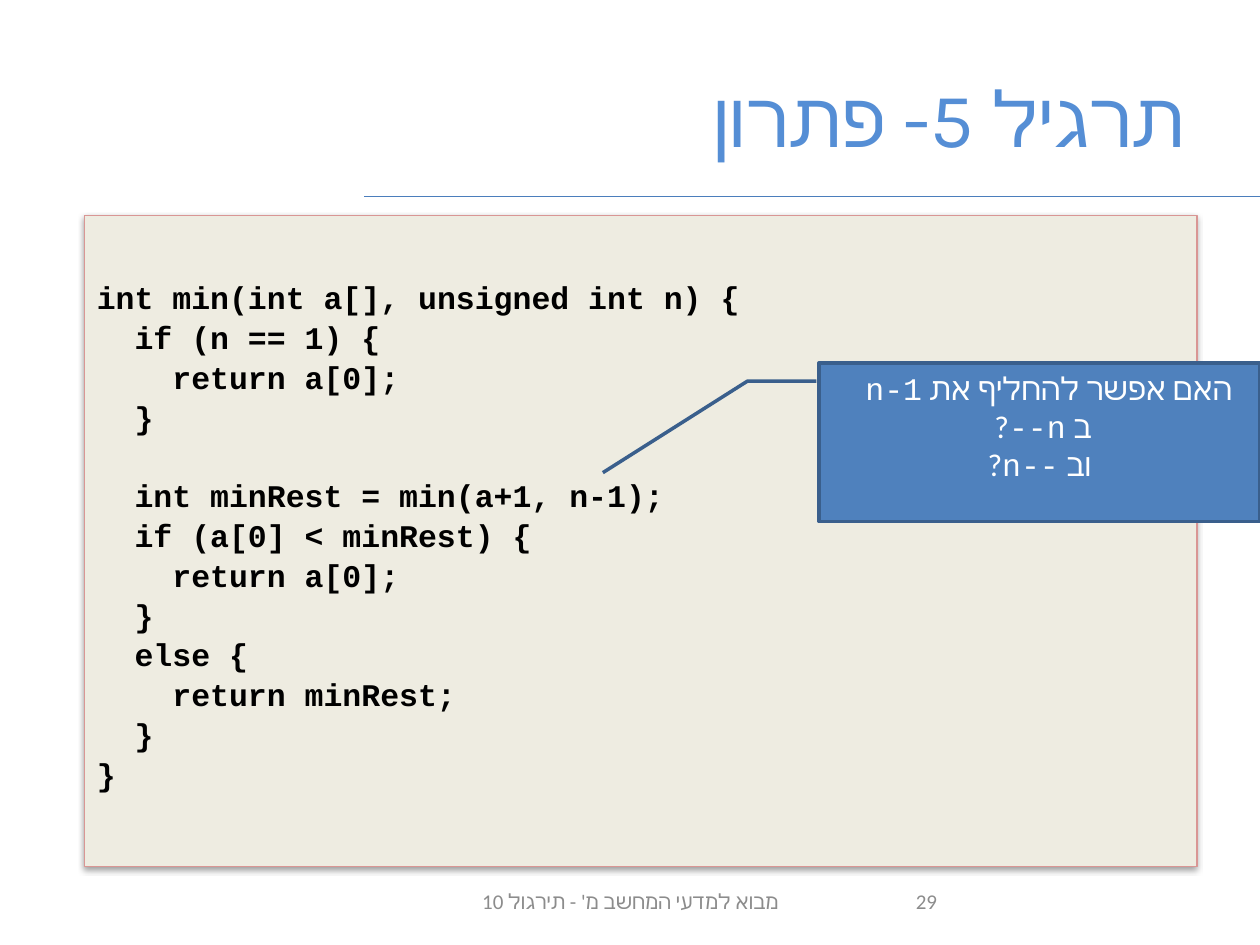
from lxml import etree
from pptx import Presentation
from pptx import util as u
from pptx.dml.color import RGBColor
from pptx.enum import shapes, text
from pptx.oxml.ns import qn

# Content
TITLE = "תרגיל 5- פתרון"
FOOTER = "מבוא למדעי המחשב מ' - תירגול 10"
PAGE_NUMBER = "29"
# Each block is a list of (indent level, code line); blocks are a line apart
CODE_BLOCKS = [
    [(0, "int min(int a[], unsigned int n) {"),
     (1, "if (n == 1) {"),
     (2, "return a[0];"),
     (1, "}")],
    [(1, "int minRest = min(a+1, n-1);"),
     (1, "if (a[0] < minRest) {"),
     (2, "return a[0];"),
     (1, "}"),
     (1, "else {"),
     (2, "return minRest;"),
     (1, "}"),
     (0, "}")],
]
# Paragraphs of lines of (text, font role)
QUESTION = [
    [[("האם אפשר להחליף את ", "body"), ("n-1 ", "code")],
     [("ב ", "body"), ("n--", "code"), ("? ", "body")]],
    [[("וב ", "body"), ("--n", "code"), ("?", "body")]],
]

THEME = {
    "fonts": {"title": "Karla", "body": "Calibri", "code": "Courier New"},
    "sizes": {"title": 44, "text": 18, "footer": 12},
    "colors": {"title": "558ED5", "rule": "4B7EBC", "footer": "8C8C8C",
               "panel": "EEECE1", "panel_line": "D99694", "code": "000000",
               "callout": "4F81BD", "callout_line": "3A5F8C",
               "callout_text": "FFFFFF"},
}
LINE_SPACING, SPACE_BEFORE, LINE_PITCH = 0.6, 9.8, 22.1
INDENT = 0.3  # two characters of the code font


def color(name):
    return RGBColor.from_string(THEME["colors"][name])


def format_run(run, role, size, color_name, bold=False):
    font = run.font
    font.name = THEME["fonts"][role]
    font.size = u.Pt(THEME["sizes"][size])
    font.color.rgb = color(color_name)
    font.bold = bold
    complex_font = etree.SubElement(run._r.get_or_add_rPr(), qn("a:cs"))
    complex_font.set("typeface", font.name)


def set_rtl(paragraph, alignment):
    paragraph.alignment = alignment
    paragraph._p.get_or_add_pPr().set("rtl", "1")


def add_label(slide, box, content, role, size, color_name, alignment=None):
    shape = slide.shapes.add_textbox(*map(u.Inches, box))
    frame = shape.text_frame
    frame.word_wrap = True
    frame.vertical_anchor = text.MSO_ANCHOR.MIDDLE
    frame.text = content
    paragraph = frame.paragraphs[0]
    if alignment is not None:
        set_rtl(paragraph, alignment)
    format_run(paragraph.runs[0], role, size, color_name)


def add_box(slide, kind, box, fill, line, width, anchor):
    shape = slide.shapes.add_shape(kind, *map(u.Inches, box))
    shape.shadow.inherit = False
    shape.fill.solid()
    shape.fill.fore_color.rgb = color(fill)
    shape.line.color.rgb = color(line)
    shape.line.width = u.Pt(width)
    shape.text_frame.word_wrap = True
    shape.text_frame.vertical_anchor = anchor
    return shape


def add_soft_shadow(shape):
    effects = shape._element.spPr.find(qn("a:effectLst"))
    shadow = etree.SubElement(
        effects, qn("a:outerShdw"), blurRad=str(u.Pt(3.1)),
        dist=str(u.Pt(1.6)), dir="5400000", rotWithShape="0")
    shade = etree.SubElement(shadow, qn("a:srgbClr"), val="000000")
    etree.SubElement(shade, qn("a:alpha"), val="38000")


def add_code(slide):
    panel = add_box(slide, shapes.MSO_SHAPE.RECTANGLE, (0.67, 1.71, 8.83, 5.17),
                    "panel", "panel_line", 0.75, text.MSO_ANCHOR.MIDDLE)
    add_soft_shadow(panel)
    lines = [(level, line, block > 0 and row == 0)
             for block, rows in enumerate(CODE_BLOCKS)
             for row, (level, line) in enumerate(rows)]
    frame = panel.text_frame
    frame.text = "\n".join(line for _, line, _ in lines)
    for paragraph, (level, _, starts_block) in zip(frame.paragraphs, lines):
        paragraph.alignment = text.PP_ALIGN.LEFT
        paragraph.line_spacing = LINE_SPACING
        gap = LINE_PITCH if starts_block else 0
        paragraph.space_before = u.Pt(SPACE_BEFORE + gap)
        properties = paragraph._p.get_or_add_pPr()
        properties.set("marL", str(u.Inches(level * INDENT)))
        format_run(paragraph.runs[0], "code", "text", "code", bold=True)


def add_question(slide):
    callout = add_box(slide, shapes.MSO_SHAPE.LINE_CALLOUT_2,
                      (6.5, 2.88, 3.5, 1.26), "callout", "callout_line", 2,
                      text.MSO_ANCHOR.TOP)
    # Pointer: y, x pairs as fractions of the box
    for index, value in enumerate((0.115, -0.006, 0.115, -0.162, 0.692, -0.49)):
        callout.adjustments[index] = value
    frame = callout.text_frame
    for number, lines in enumerate(QUESTION):
        paragraph = frame.add_paragraph() if number else frame.paragraphs[0]
        set_rtl(paragraph, text.PP_ALIGN.CENTER)
        for row, pieces in enumerate(lines):
            if row:
                paragraph.add_line_break()
            for piece, role in pieces:
                run = paragraph.add_run()
                run.text = piece
                format_run(run, role, "text", "callout_text")


def main():
    presentation = Presentation()
    presentation.slide_width = u.Inches(10)
    presentation.slide_height = u.Inches(7.5)
    slide = presentation.slides.add_slide(presentation.slide_layouts[6])

    # Rule under the title
    rule = slide.shapes.add_connector(
        shapes.MSO_CONNECTOR.STRAIGHT,
        *map(u.Inches, (10, 1.56, 2.89, 1.56)))
    rule.line.color.rgb = color("rule")
    rule.line.width = u.Pt(0.75)
    etree.SubElement(rule._element.spPr, qn("a:effectLst"))

    # Title, code and question
    add_label(slide, (0.5, 0.3, 9, 1.25), TITLE, "title", "title", "title",
              text.PP_ALIGN.RIGHT)
    add_code(slide)
    add_question(slide)

    # Footer
    add_label(slide, (7.17, 6.95, 2.33, 0.4), PAGE_NUMBER,
              "body", "footer", "footer")
    add_label(slide, (3.42, 6.95, 3.17, 0.4), FOOTER,
              "body", "footer", "footer", text.PP_ALIGN.CENTER)
    presentation.save("out.pptx")


if __name__ == "__main__":
    main()
